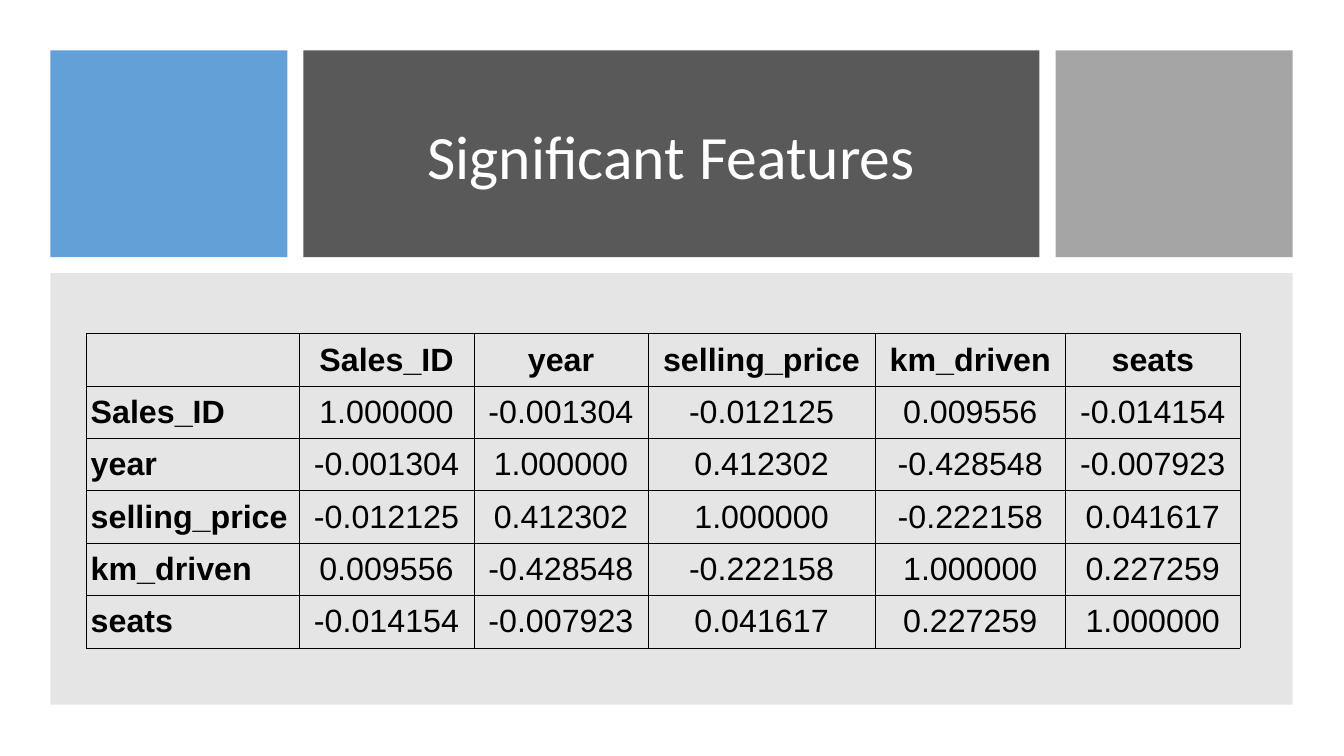
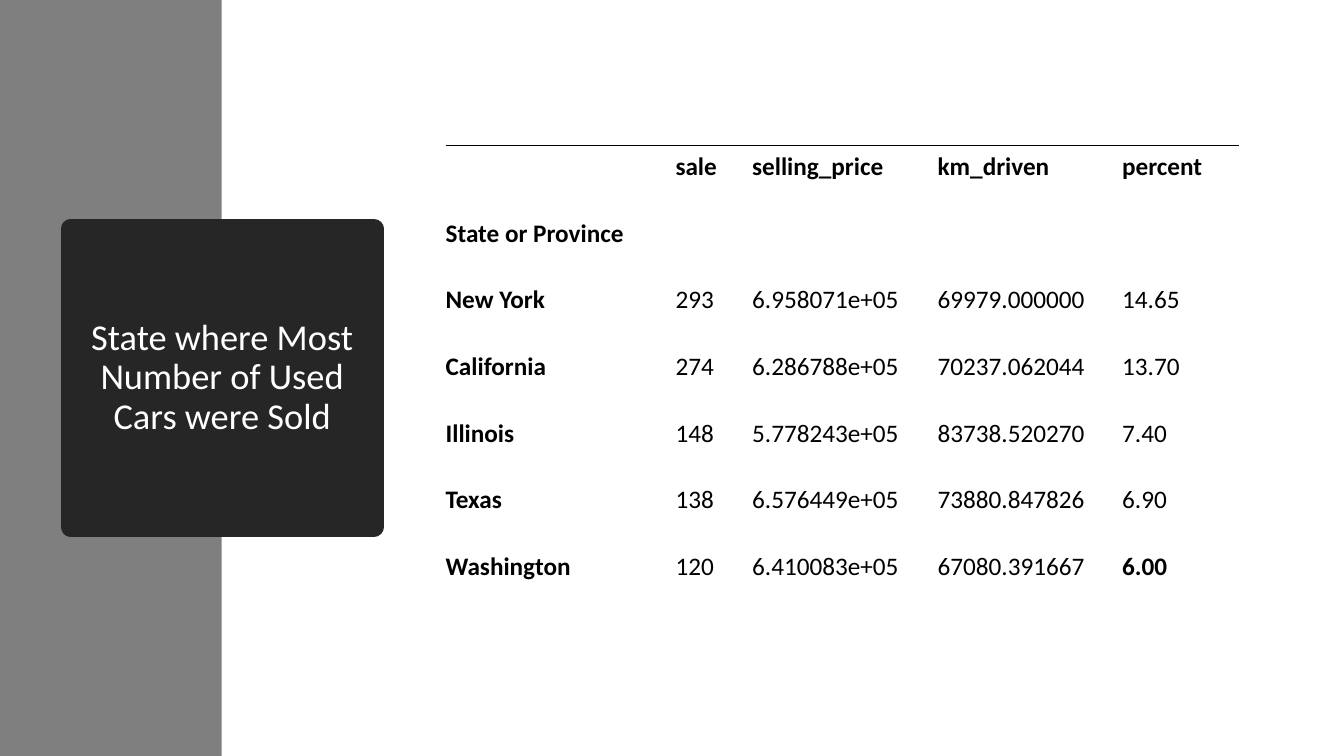
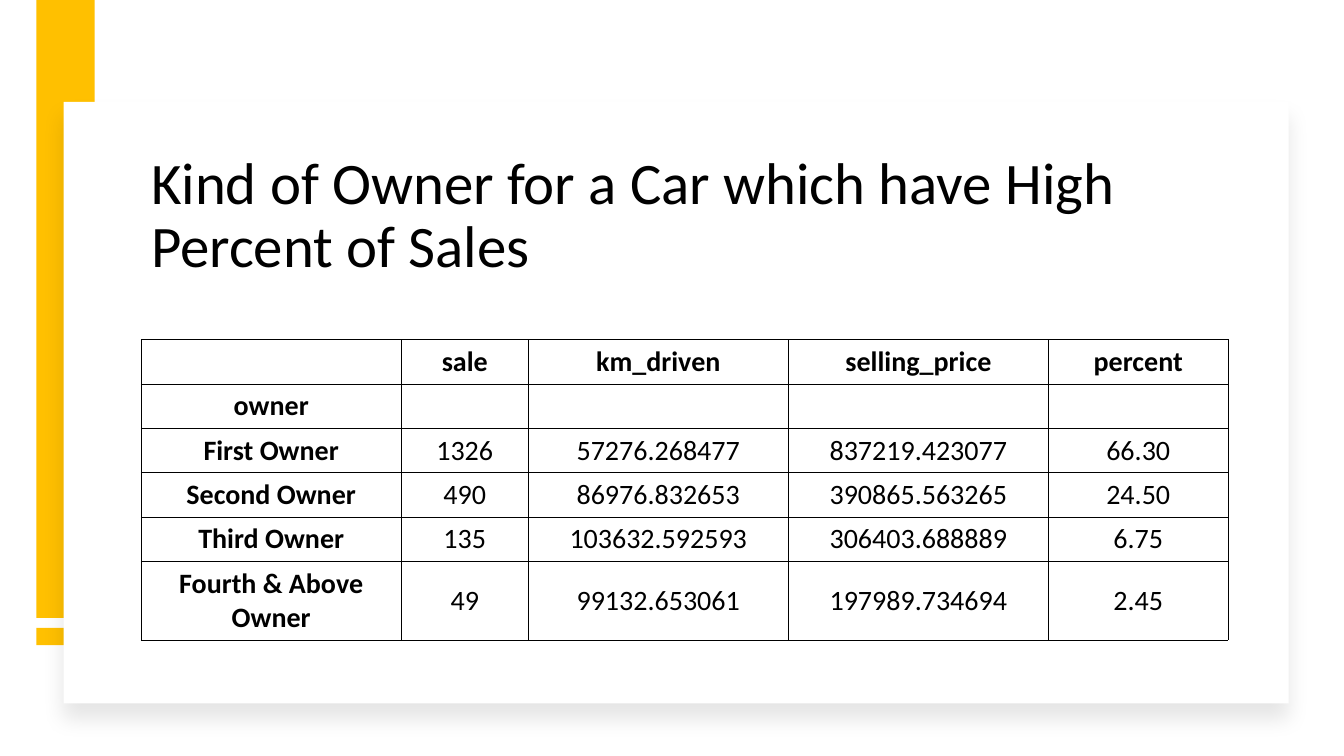
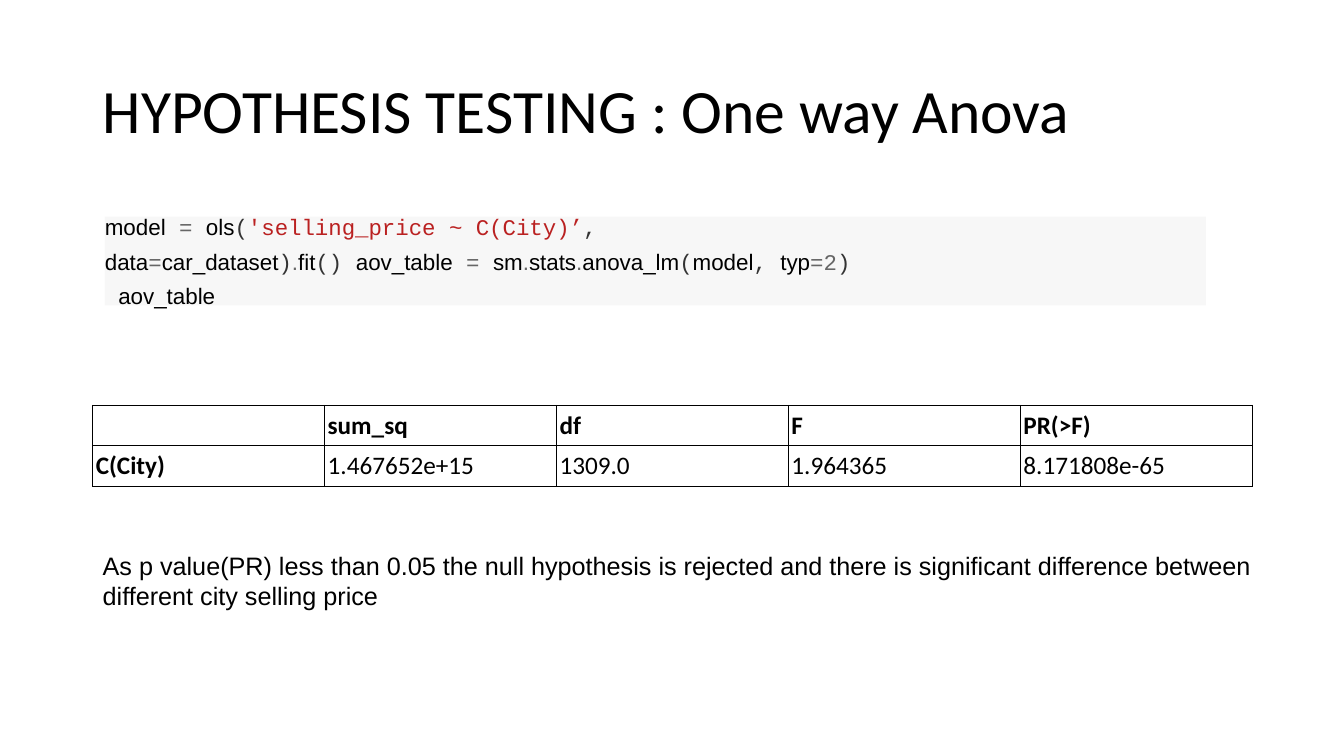
from lxml.etree import SubElement
from pptx import Presentation
from pptx.dml.color import RGBColor
from pptx.enum.shapes import MSO_SHAPE as Shape
from pptx.enum.text import MSO_ANCHOR as Anchor, PP_ALIGN as Align
from pptx.oxml.ns import qn
from pptx.util import Inches, Pt

BLACK, WHITE = "000000", "FFFFFF"
BLUE, GOLD = "5B9BD5", "FFC000"
DARK, CHARCOAL = "595959", "262626"
SILVER, GREY, STRIPE, CODE_FILL = "A5A5A5", "808080", "7F7F7F", "F7F7F7"
CODE_RED, CODE_GREY, CODE_DARK = "BA2121", "666666", "333333"
BODY, SANS, MONO = "Calibri", "Arial", "Courier New"

# A table's size is its column widths and row heights; its insets run left, top, right, bottom.
CORRELATIONS = dict(
    place=(0.86, 3.31), columns=[2.11, 1.73, 1.73, 2.25, 1.89, 1.73], heights=[0.52] * 6,
    insets=[0.04] * 4, size=23, font=SANS, align=Align.CENTER, label_align=Align.LEFT,
    rows=[
        ["", "Sales_ID", "year", "selling_price", "km_driven", "seats"],
        ["Sales_ID", "1.000000", "-0.001304", "-0.012125", "0.009556", "-0.014154"],
        ["year", "-0.001304", "1.000000", "0.412302", "-0.428548", "-0.007923"],
        ["selling_price", "-0.012125", "0.412302", "1.000000", "-0.222158", "0.041617"],
        ["km_driven", "0.009556", "-0.428548", "-0.222158", "1.000000", "0.227259"],
        ["seats", "-0.014154", "-0.007923", "0.041617", "0.227259", "1.000000"],
    ])
STATES = dict(
    place=(4.42, 1.44), columns=[2.28, 0.76, 1.84, 1.83, 1.16], heights=[0.66] * 7,
    insets=[0, 0.04, 0.09, 0.26], size=18, grid=False, bold_cells=[(6, 4)],
    rows=[
        ["", "sale", "selling_price", "km_driven", "percent"],
        ["State or Province", "", "", "", ""],
        ["New York", "293", "6.958071e+05", "69979.000000", "14.65"],
        ["California", "274", "6.286788e+05", "70237.062044", "13.70"],
        ["Illinois", "148", "5.778243e+05", "83738.520270", "7.40"],
        ["Texas", "138", "6.576449e+05", "73880.847826", "6.90"],
        ["Washington", "120", "6.410083e+05", "67080.391667", "6.00"],
    ])
OWNERS = dict(
    place=(1.4, 3.37), columns=[2.58, 1.26, 2.58, 2.58, 1.78], heights=[0.44] * 5 + [0.78],
    insets=[0.03] * 4, size=20, align=Align.CENTER, label_align=Align.CENTER, fill=WHITE,
    rows=[
        ["", "sale", "km_driven", "selling_price", "percent"],
        ["owner", "", "", "", ""],
        ["First Owner", "1326", "57276.268477", "837219.423077", "66.30"],
        ["Second Owner", "490", "86976.832653", "390865.563265", "24.50"],
        ["Third Owner", "135", "103632.592593", "306403.688889", "6.75"],
        ["Fourth & Above Owner", "49", "99132.653061", "197989.734694", "2.45"],
    ])
ANOVA = dict(
    place=(0.92, 4.02), columns=[2.3] * 5, heights=[0.4] * 2,
    insets=[0.03] * 4, size=18, fill=WHITE,
    rows=[
        ["", "sum_sq", "df", "F", "PR(>F)"],
        ["C(City)", "1.467652e+15", "1309.0", "1.964365", "8.171808e-65"],
    ])

# Plain strings are names in the base font; the other runs carry a font and a colour.
ASSIGN = (" = ", MONO, CODE_GREY)
EQUALS = ("=", MONO, CODE_GREY)
DOT = (".", SANS, CODE_GREY)
OPEN, CLOSE = ("(", MONO, CODE_DARK), (")", MONO, CODE_DARK)
CODE = [
    ["model", ASSIGN, "ols", OPEN, ("'selling_price ~ C(City)’", MONO, CODE_RED),
     (",", MONO, CODE_DARK)],
    ["data", EQUALS, "car_dataset", CLOSE, DOT, "fit", ("() ", MONO, CODE_DARK),
     "aov_table", ASSIGN, "sm", DOT, "stats", DOT, "anova_lm", OPEN, "model",
     (", ", MONO, CODE_DARK), "typ", EQUALS, ("2", MONO, CODE_GREY), CLOSE],
    [(" ", MONO, CODE_DARK), "aov_table"],
]
CONCLUSION = ("As p value(PR) less than 0.05 the null hypothesis is rejected and there is "
              "significant difference between different city selling price")


def rgb(value):
    return RGBColor.from_string(value)


def write(frame, text, size=18, font=BODY, color=BLACK, bold=False, align=Align.LEFT,
          anchor=Anchor.TOP, spacing=None, before=None):
    """Fill a text frame from a string, or from paragraphs that are lists of runs."""
    frame.word_wrap = True
    frame.vertical_anchor = anchor
    for index, runs in enumerate([[text]] if isinstance(text, str) else text):
        paragraph = frame.add_paragraph() if index else frame.paragraphs[0]
        paragraph.alignment = align
        paragraph.line_spacing = spacing
        paragraph.space_before = before
        for item in runs:
            words, face, tint = (item, font, color) if isinstance(item, str) else item
            run = paragraph.add_run()
            run.text = words
            run.font.size, run.font.name, run.font.bold = Pt(size), face, bold
            run.font.color.rgb = rgb(tint)


def add_text(slide, place, text, **style):
    box = slide.shapes.add_textbox(*map(Inches, place))
    write(box.text_frame, text, **style)


def add_title(slide, place, text, size=44, anchor=Anchor.MIDDLE, **style):
    add_text(slide, place, text, size=size, anchor=anchor, spacing=0.9, **style)


def add_block(slide, place, fill, opacity=100):
    block = slide.shapes.add_shape(Shape.RECTANGLE, *map(Inches, place))
    block.shadow.inherit = False
    block.line.fill.background()
    block.fill.solid()
    block.fill.fore_color.rgb = rgb(fill)
    if opacity < 100:
        color = block.fill._xPr.find(".//" + qn("a:srgbClr"))
        SubElement(color, qn("a:alpha"), val=str(opacity * 1000))
    return block


def add_soft_shadow(shape):
    effects = shape._element.spPr.find(qn("a:effectLst"))
    shadow = SubElement(effects, qn("a:outerShdw"), blurRad=str(Pt(15)), dist=str(Pt(11)),
                        dir="5400000", algn="t", rotWithShape="0")
    color = SubElement(shadow, qn("a:srgbClr"), val=BLACK)
    SubElement(color, qn("a:alpha"), val="10000")


def set_borders(cell, drawn_sides):
    """Rule the sides named by L, R, T and B, and clear the others."""
    properties = cell._tc.get_or_add_tcPr()
    for side in "LRTB":
        line = SubElement(properties, qn("a:ln" + side), w=str(Pt(0.5)))
        if side in drawn_sides:
            fill = SubElement(line, qn("a:solidFill"))
            SubElement(fill, qn("a:srgbClr"), val=BLACK)
        else:
            SubElement(line, qn("a:noFill"))


def add_data_table(slide, place, columns, heights, rows, insets, size, font=BODY,
                   align=Align.LEFT, label_align=Align.LEFT, fill=None, grid=True,
                   bold_cells=()):
    """Add a table with a bold first row and column; without a grid only its top is ruled."""
    area = map(Inches, (*place, sum(columns), sum(heights)))
    table = slide.shapes.add_table(len(rows), len(columns), *area).table
    table.first_row = table.horz_banding = False
    for column, width in zip(table.columns, columns):
        column.width = Inches(width)
    for r, values in enumerate(rows):
        table.rows[r].height = Inches(heights[r])
        for c, value in enumerate(values):
            cell = table.cell(r, c)
            (cell.margin_left, cell.margin_top,
             cell.margin_right, cell.margin_bottom) = map(Inches, insets)
            cell.vertical_anchor = Anchor.MIDDLE
            set_borders(cell, "LRTB" if grid else "T" if r == 0 else "")
            if fill:
                cell.fill.solid()
                cell.fill.fore_color.rgb = rgb(fill)
            else:
                cell.fill.background()
            if value:
                write(cell.text_frame, value, size=size, font=font, anchor=Anchor.MIDDLE,
                      bold=r == 0 or c == 0 or (r, c) in bold_cells,
                      align=align if c else label_align)


def build_features(slide):
    margin, gap, height = 0.5, 0.16, 2.05
    left = margin
    for width, fill, opacity in [(2.35, BLUE, 95), (7.3, DARK, 100), (2.35, SILVER, 100)]:
        add_block(slide, (left, margin, width, height), fill, opacity)
        left += width + gap
    add_block(slide, (margin, margin + height + gap, left - gap - margin, 4.28), GREY, 20)
    add_title(slide, (3.33, 0.8, 6.66, 1.56), "Significant Features",
              color=WHITE, align=Align.CENTER)
    add_data_table(slide, **CORRELATIONS)


def build_states(slide):
    add_block(slide, (0, 0, 2.2, 7.5), STRIPE)
    card = add_block(slide, (0.7, 2.27, 3.01, 2.96), CHARCOAL)
    card.line.color.rgb = rgb(CHARCOAL)
    card.line.width = Pt(13.75)
    SubElement(card.line._get_or_add_ln(), qn("a:round"))
    write(card.text_frame, "State where Most Number of Used Cars were Sold", size=26,
          color=WHITE, align=Align.CENTER, anchor=Anchor.MIDDLE, spacing=0.9)
    add_data_table(slide, **STATES)


def build_owners(slide):
    for top, height in [(0, 6.13), (6.23, 0.17)]:
        add_block(slide, (0.36, top, 0.58, height), GOLD)
    add_soft_shadow(add_block(slide, (0.63, 1.01, 12.15, 5.97), WHITE))
    add_title(slide, (1.4, 1.35, 10.77, 1.48),
              "Kind of Owner for a Car which have High Percent of Sales",
              size=42, anchor=Anchor.BOTTOM)
    add_data_table(slide, **OWNERS)


def build_anova(slide):
    add_title(slide, (0.92, 0.4, 11.5, 1.45), "HYPOTHESIS TESTING : One way Anova")
    panel = add_block(slide, (1.04, 2.15, 10.92, 0.88), CODE_FILL)
    frame = panel.text_frame
    frame.margin_left = frame.margin_top = frame.margin_right = frame.margin_bottom = 0
    write(frame, CODE, size=16, font=SANS, anchor=Anchor.MIDDLE, before=Pt(5.5))
    add_data_table(slide, **ANOVA)
    add_text(slide, (0.92, 5.41, 11.77, 0.71), CONCLUSION, font=SANS)


def main():
    presentation = Presentation()
    presentation.slide_width, presentation.slide_height = Inches(13.33), Inches(7.5)
    for build in (build_features, build_states, build_owners, build_anova):
        build(presentation.slides.add_slide(presentation.slide_layouts[6]))
    presentation.save("out.pptx")


if __name__ == "__main__":
    main()
